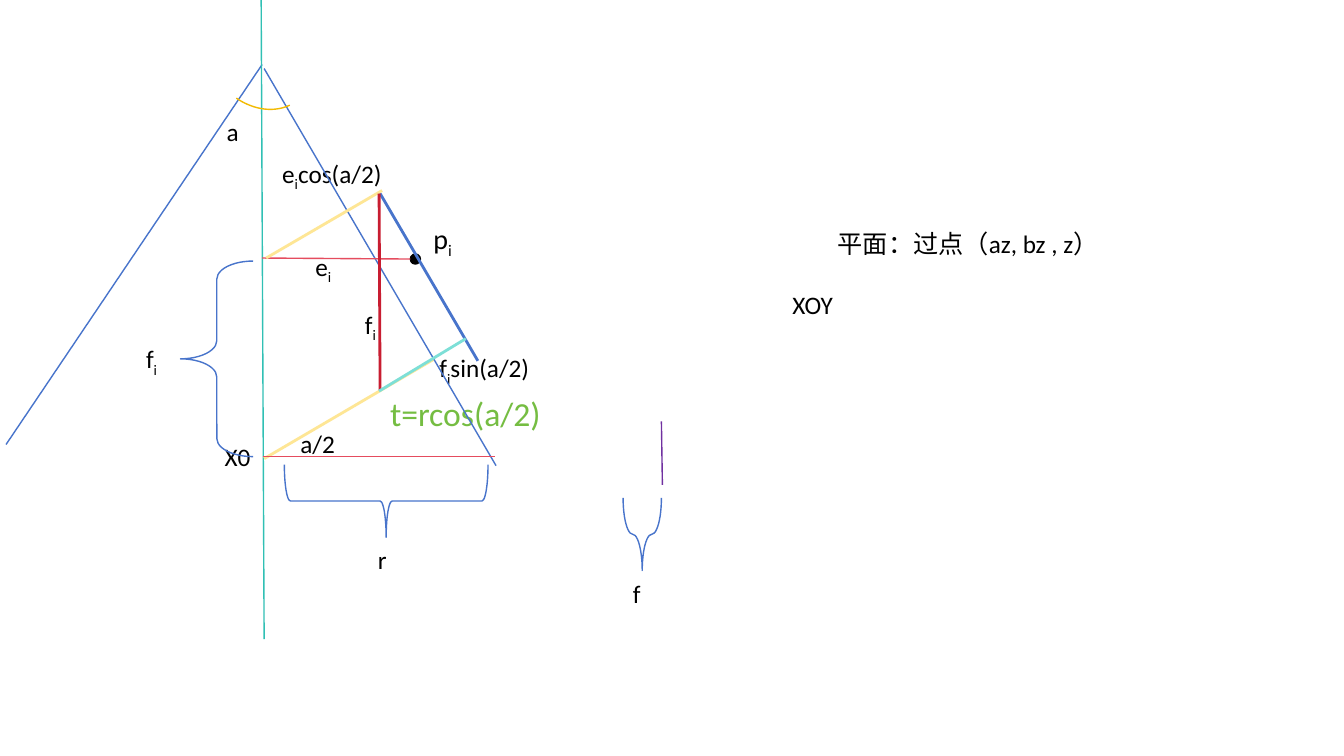
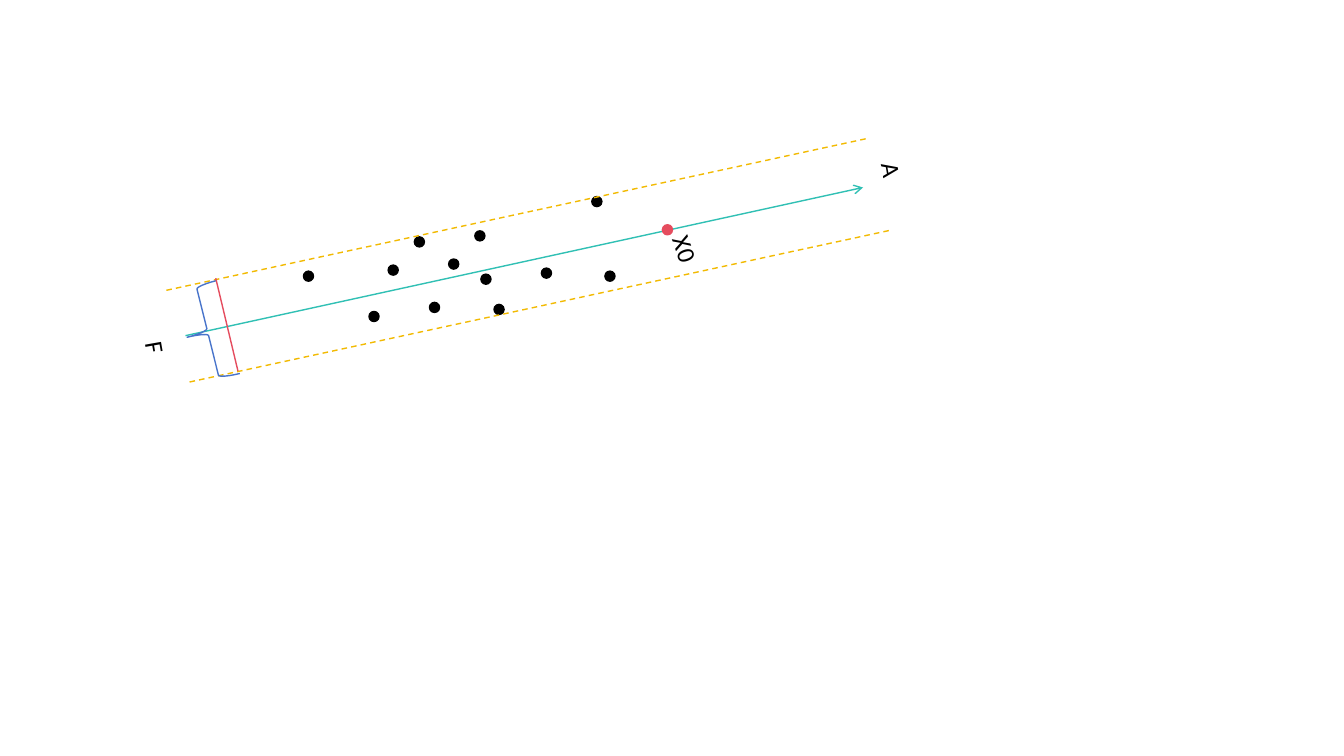
from dataclasses import dataclass

from lxml import etree
from pptx import Presentation
from pptx.dml.color import RGBColor
from pptx.enum import dml, shapes, text
from pptx.oxml.ns import qn
from pptx.shapes.autoshape import Shape
from pptx.util import Inches, Pt

BLACK = RGBColor(0x00, 0x00, 0x00)
BLUE = RGBColor(0x48, 0x74, 0xCB)
TEAL = RGBColor(0x30, 0xC0, 0xB4)
LIGHT_TEAL = RGBColor(0x7D, 0xDF, 0xD7)
GOLD = RGBColor(0xF2, 0xBA, 0x02)
LIGHT_GOLD = RGBColor(0xFE, 0xE6, 0x95)
RED = RGBColor(0xE5, 0x4C, 0x5E)
DARK_RED = RGBColor(0xC8, 0x1D, 0x31)
GREEN = RGBColor(0x75, 0xBD, 0x42)
PURPLE = RGBColor(0x70, 0x30, 0xA0)

FONT = "Calibri"
DOT_SIZE = 0.1
ROUND_BRACE = (0.25, 0.5)


@dataclass(frozen=True)
class Label:
    left: float
    top: float
    width: float
    text: str
    subscript: str = ""
    ending: str = ""
    height: float = 0.4
    size: int = 18
    color: RGBColor = BLACK
    rotation: float = 0


@dataclass(frozen=True)
class Line:
    start: tuple[float, float]
    end: tuple[float, float]
    color: RGBColor
    width: float = 1
    arrow: bool = False
    dashed: bool = False


@dataclass(frozen=True)
class Curve:
    """An unfilled brace or arc; its frame is given before rotation."""
    left: float
    top: float
    width: float
    height: float
    rotation: float = 0
    adjustments: tuple[float, ...] = ()
    kind: shapes.MSO_SHAPE = shapes.MSO_SHAPE.LEFT_BRACE
    color: RGBColor = BLUE


@dataclass(frozen=True)
class Dot:
    left: float
    top: float
    color: RGBColor = BLACK


Item = Label | Line | Curve | Dot


CONE_ITEMS: list[Item] = [
    Label(2.15, 1.1, 0.67, "а"),
    Label(7.76, 2.82, 0.8, "XOY"),
    Label(8.21, 2.22, 4.44, "平面：过点（az, bz , z）"),
    Label(3.77, 3.85, 1.75, "t=rcos(а/2)", height=0.49, size=24, color=GREEN),
    Label(2.7, 1.52, 1.38, "e", "i", "cos(а/2)"),
    Label(2.13, 4.33, 1.64, "X0"),
    Label(3.65, 5.35, 0.95, "r"),
    Label(6.18, 5.69, 0.94, "f"),
    Label(3.03, 2.44, 0.58, "e", "i"),
    Label(2.88, 4.2, 0.67, "а/2"),
    Label(4.2, 2.15, 4.44, "p", "i", height=0.44, size=20),
    Label(1.35, 3.36, 0.58, "f", "i"),
    Label(3.52, 3.02, 0.58, "f", "i"),
    Label(4.26, 3.45, 1.24, "f", "i", "sin(a/2)"),
    Line((0.06, 4.41), (2.6, 0.64), BLUE),
    Line((2.62, 6.34), (2.59, -0.11), TEAL, arrow=True),
    Line((6.57, 4.81), (6.56, 4.18), PURPLE),
    Line((2.62, 4.55), (4.31, 3.56), LIGHT_GOLD, 2),
    Curve(3.47, 3.96, 0.72, 2.02, 270),
    Curve(6.01, 5.11, 0.72, 0.38, 270, ROUND_BRACE),
    Curve(1.79, 2.59, 0.72, 1.94, adjustments=ROUND_BRACE),
    Line((4.92, 4.62), (2.62, 0.68), BLUE),
    Curve(2.09, -0.06, 0.97, 1.19, 139, (168.37, 203.28),
          shapes.MSO_SHAPE.ARC, GOLD),
    Line((2.61, 4.53), (4.91, 4.53), RED),
    Dot(4.07, 2.52),
    Line((2.6, 2.56), (4.07, 2.57), RED),
    Line((2.64, 2.56), (3.79, 1.89), LIGHT_GOLD, 2),
    Line((3.77, 1.92), (4.74, 3.58), BLUE, 2),
    Line((3.77, 3.87), (3.76, 1.92), DARK_RED, 2),
    Line((3.76, 3.88), (4.62, 3.36), LIGHT_TEAL, 2),
]

POINT_POSITIONS = [
    (4.45, 2.57), (4.71, 2.29), (6, 2.69), (5.87, 1.95), (5.37, 2.66), (3.66, 3.09),
    (3.85, 2.63), (4.11, 2.35), (4.77, 2.72), (4.9, 3.02), (4.26, 3), (3.01, 2.69),
]
EDGE_STARTS = [(1.65, 2.88), (1.88, 3.79)]
EDGE_RUN, EDGE_RISE = 6.97, 1.51

CYLINDER_ITEMS: list[Item] = [
    Label(6.5, 2.37, 0.67, "X0", rotation=71),
    Label(8.56, 1.62, 0.62, "A", rotation=80),
    Label(1.24, 3.42, 0.67, "F", rotation=80),
    Line((1.84, 3.33), (8.56, 1.86), TEAL, arrow=True),
    *(Dot(left, top) for left, top in POINT_POSITIONS),
    *(Line((x, y), (x + EDGE_RUN, y - EDGE_RISE), GOLD, dashed=True)
      for x, y in EDGE_STARTS),
    Curve(1.85, 2.82, 0.42, 0.95, 346),
    Line((2.14, 2.76), (2.36, 3.68), RED),
    Dot(6.57, 2.23, RED),
]


def draw_label(canvas, label: Label) -> None:
    box = canvas.add_textbox(Inches(label.left), Inches(label.top),
                             Inches(label.width), Inches(label.height))
    box.rotation = label.rotation
    frame = box.text_frame
    frame.word_wrap = True
    if label.size < 24:
        frame.auto_size = text.MSO_AUTO_SIZE.SHAPE_TO_FIT_TEXT
    paragraph = frame.paragraphs[0]
    paragraph.font.name = FONT
    paragraph.font.size = Pt(label.size)
    paragraph.font.color.rgb = label.color
    for part, baseline in ((label.text, 0), (label.subscript, -25000), (label.ending, 0)):
        if part:
            run = paragraph.add_run()
            run.text = part
            if baseline:
                run.font._element.set("baseline", str(baseline))


def draw_line(canvas, line: Line) -> None:
    connector = canvas.add_connector(
        shapes.MSO_CONNECTOR.STRAIGHT,
        *(Inches(value) for value in (*line.start, *line.end)))
    connector.line.color.rgb = line.color
    connector.line.width = Pt(line.width)
    if line.dashed:
        connector.line.dash_style = dml.MSO_LINE.DASH
    properties = connector._element.spPr
    if line.arrow:
        etree.SubElement(properties.find(qn("a:ln")), qn("a:tailEnd"), type="arrow")
    etree.SubElement(properties, qn("a:effectLst"))


def add_outlined_shape(canvas, kind: shapes.MSO_SHAPE, left: float, top: float,
                       width: float, height: float, color: RGBColor) -> Shape:
    shape = canvas.add_shape(kind, Inches(left), Inches(top),
                             Inches(width), Inches(height))
    shape.shadow.inherit = False
    shape.line.color.rgb = color
    shape.line.width = Pt(1)
    return shape


def draw_curve(canvas, curve: Curve) -> None:
    shape = add_outlined_shape(canvas, curve.kind, curve.left, curve.top,
                               curve.width, curve.height, curve.color)
    shape.fill.background()
    shape.rotation = curve.rotation
    for index, value in enumerate(curve.adjustments):
        shape.adjustments[index] = value


def draw_dot(canvas, dot: Dot) -> None:
    shape = add_outlined_shape(canvas, shapes.MSO_SHAPE.OVAL, dot.left, dot.top,
                               DOT_SIZE, DOT_SIZE, dot.color)
    shape.fill.solid()
    shape.fill.fore_color.rgb = dot.color


DRAWERS = {Label: draw_label, Line: draw_line, Curve: draw_curve, Dot: draw_dot}


def draw_items(canvas, items: list[Item]) -> None:
    """Draw items, back to front, on the shapes of a slide or a group."""
    for item in items:
        DRAWERS[type(item)](canvas, item)


def main() -> None:
    presentation = Presentation()
    presentation.slide_width = Inches(13.33)
    presentation.slide_height = Inches(7.5)
    blank_layout = presentation.slide_layouts[6]
    cone_slide = presentation.slides.add_slide(blank_layout)
    draw_items(cone_slide.shapes, CONE_ITEMS)
    cylinder_slide = presentation.slides.add_slide(blank_layout)
    draw_items(cylinder_slide.shapes.add_group_shape().shapes, CYLINDER_ITEMS)
    presentation.save("out.pptx")


if __name__ == "__main__":
    main()
